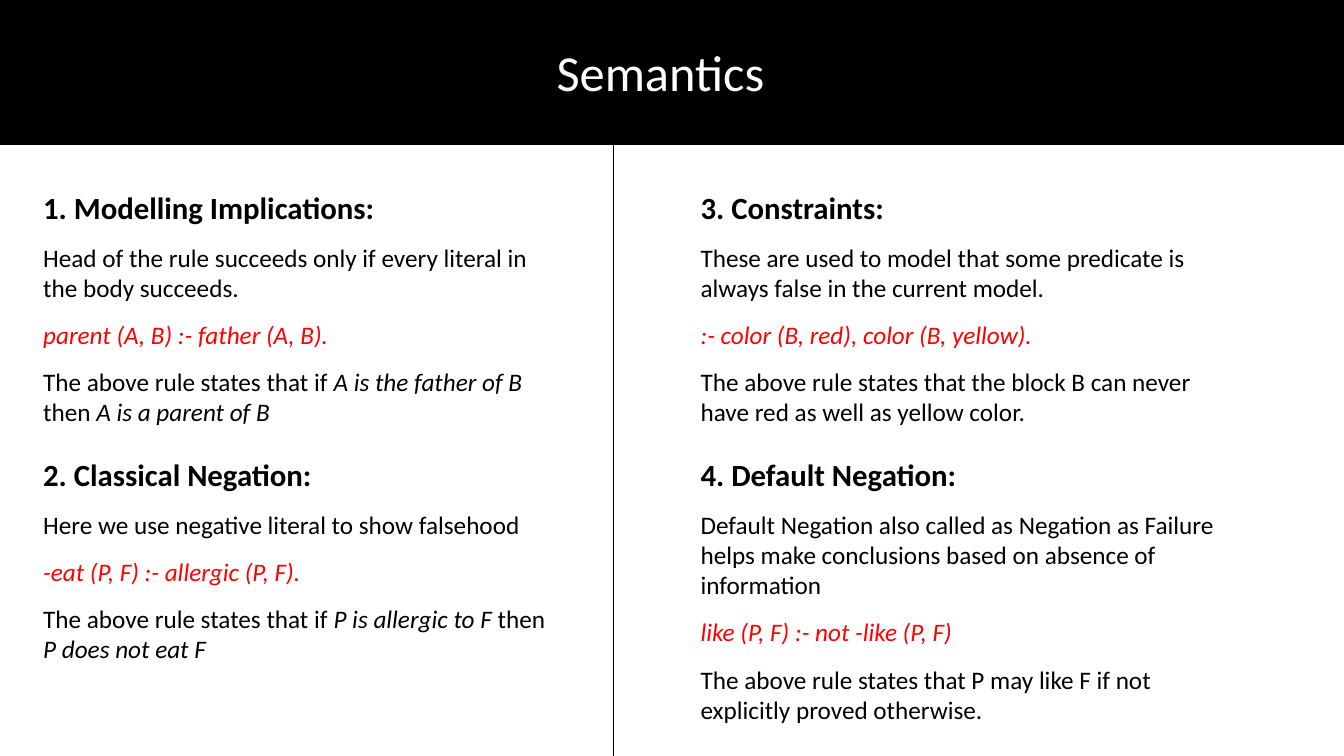
from dataclasses import dataclass

from lxml.etree import SubElement
from pptx import Presentation
from pptx.dml.color import RGBColor
from pptx.enum.shapes import MSO_CONNECTOR as Connector, MSO_SHAPE as Shape
from pptx.enum.text import MSO_ANCHOR as Anchor, MSO_AUTO_SIZE as AutoSize, PP_ALIGN as Align
from pptx.oxml.ns import qn
from pptx.util import Inches, Pt


@dataclass(frozen=True)
class Theme:
    font: str = "Calibri"
    ink: RGBColor = RGBColor(0, 0, 0)
    paper: RGBColor = RGBColor(255, 255, 255)
    code: RGBColor = RGBColor(255, 0, 0)
    title_size: int = 36
    heading_size: int = 22
    body_size: int = 18
    gap: int = 12


THEME = Theme()
SLIDE_W, SLIDE_H = 13.33, 7.5
BANNER_H = 1.43
DIVIDER_X = 6.08
COLUMNS = (0.33, 6.85)
ROWS = (1.82, 4.47)
TOPIC_W = 5.29

# Each topic: heading, explanation, rule, reading of the rule as (text, italic) runs, height
TOPICS = [
    ("1. Modelling Implications:",
     "Head of the rule succeeds only if every literal in the body succeeds.",
     "parent (A, B) :- father (A, B).",
     [("The above rule states that if ", False), ("A is the father of B ", True),
      ("then ", False), ("A is a parent of B", True)], 2.49),
    ("2. Classical Negation:",
     "Here we use negative literal to show falsehood",
     "-eat (P, F) :- allergic (P, F).",
     [("The above rule states that if ", False), ("P is allergic to F ", True),
      ("then ", False), ("P does not eat F", True)], 2.19),
    ("3. Constraints:",
     "These are used to model that some predicate is always false in the current model.",
     ":- color (B, red), color (B, yellow).",
     [("The above rule states that the block B can never have red as well as yellow color.",
       False)], 2.49),
    ("4. Default Negation:",
     "Default Negation also called as Negation as Failure helps make conclusions "
     "based on absence of information",
     "like (P, F) :- not -like (P, F)",
     [("The above rule states that P may like F if not explicitly proved otherwise.",
       False)], 2.79),
]


def add_run(paragraph, text, size, color=THEME.ink, bold=False, italic=False):
    run = paragraph.add_run()
    run.text = text
    font = run.font
    font.name, font.size, font.bold, font.italic = THEME.font, Pt(size), bold, italic
    font.color.rgb = color


def add_banner(slide, left, top, width, height):
    # Black band, placed behind the title
    banner = slide.shapes.add_shape(
        Shape.RECTANGLE, Inches(left), Inches(top), Inches(width), Inches(height))
    banner.shadow.inherit = False
    banner.fill.solid()
    banner.fill.fore_color.rgb = THEME.ink
    banner.line.color.rgb = THEME.ink
    banner.line.width = Pt(1)
    title = slide.shapes.title
    title.element.addprevious(banner.element)

    # Title
    title.left, title.top = Inches(left + 5.42), Inches(top + 0.36)
    title.width, title.height = Inches(2.41), Inches(0.71)
    frame = title.text_frame
    frame.word_wrap = True
    frame.auto_size = AutoSize.SHAPE_TO_FIT_TEXT
    frame.vertical_anchor = Anchor.TOP
    frame.paragraphs[0].alignment = Align.LEFT
    add_run(frame.paragraphs[0], "Semantics", THEME.title_size, THEME.paper)


def add_divider(slide, x, top, bottom):
    divider = slide.shapes.add_connector(
        Connector.STRAIGHT, Inches(x), Inches(top), Inches(x), Inches(bottom))
    divider.line.color.rgb = THEME.ink
    divider.line.width = Pt(0.5)
    SubElement(divider.element.spPr, qn("a:effectLst"))


def add_topic(slide, topic, left, top, width):
    heading, explanation, rule, reading, height = topic
    box = slide.shapes.add_textbox(Inches(left), Inches(top), Inches(width), Inches(height))
    frame = box.text_frame
    frame.word_wrap = True
    frame.auto_size = AutoSize.SHAPE_TO_FIT_TEXT
    add_run(frame.paragraphs[0], heading, THEME.heading_size, bold=True)

    body = [
        [(explanation, THEME.ink, False)],
        [(rule, THEME.code, True)],
        [(text, THEME.ink, italic) for text, italic in reading],
    ]
    for runs in body:
        paragraph = frame.add_paragraph()
        paragraph.space_before = Pt(THEME.gap)
        for text, color, italic in runs:
            add_run(paragraph, text, THEME.body_size, color, italic=italic)


def main():
    deck = Presentation()
    deck.slide_width, deck.slide_height = Inches(SLIDE_W), Inches(SLIDE_H)
    slide = deck.slides.add_slide(deck.slide_layouts[5])

    add_banner(slide, 0, 0, SLIDE_W, BANNER_H)
    # Topics run down the left column, then down the right
    for number, topic in enumerate(TOPICS):
        column, row = divmod(number, len(ROWS))
        add_topic(slide, topic, COLUMNS[column], ROWS[row], TOPIC_W)
    add_divider(slide, DIVIDER_X, BANNER_H, SLIDE_H)

    deck.save("out.pptx")


if __name__ == "__main__":
    main()
